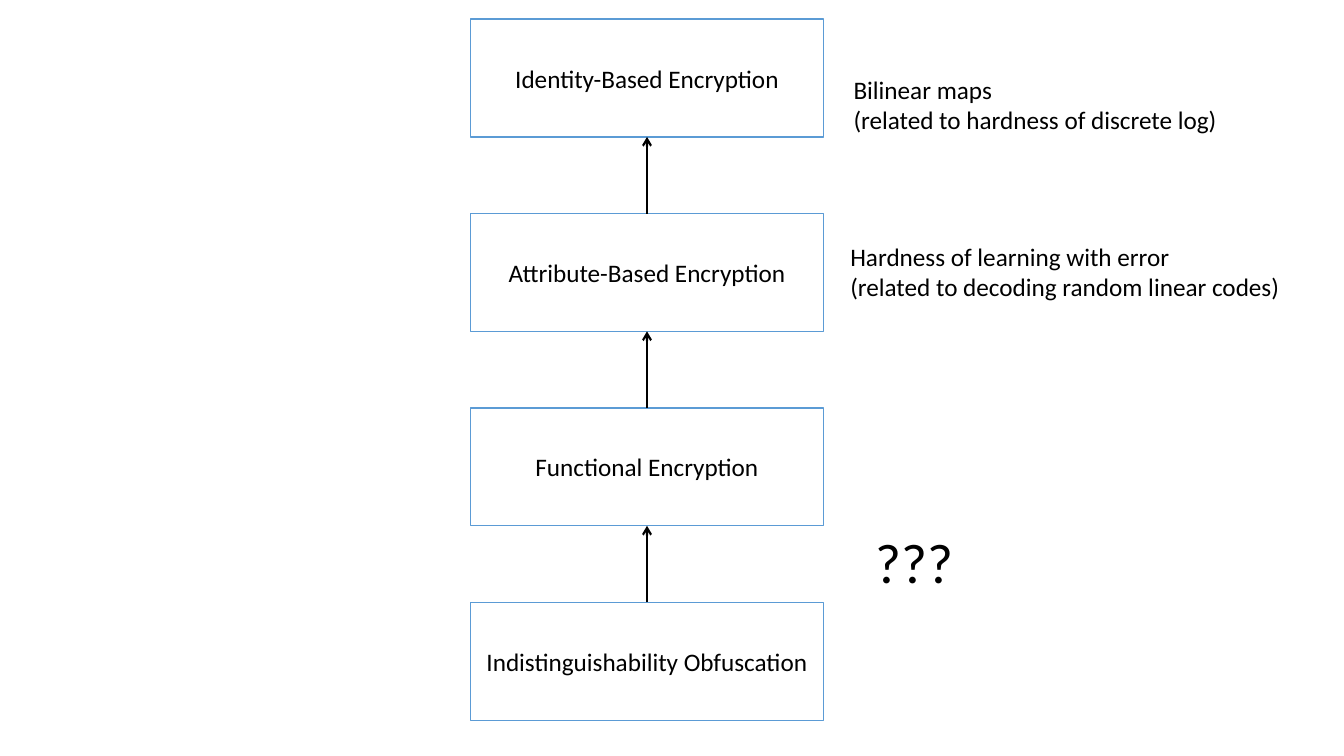
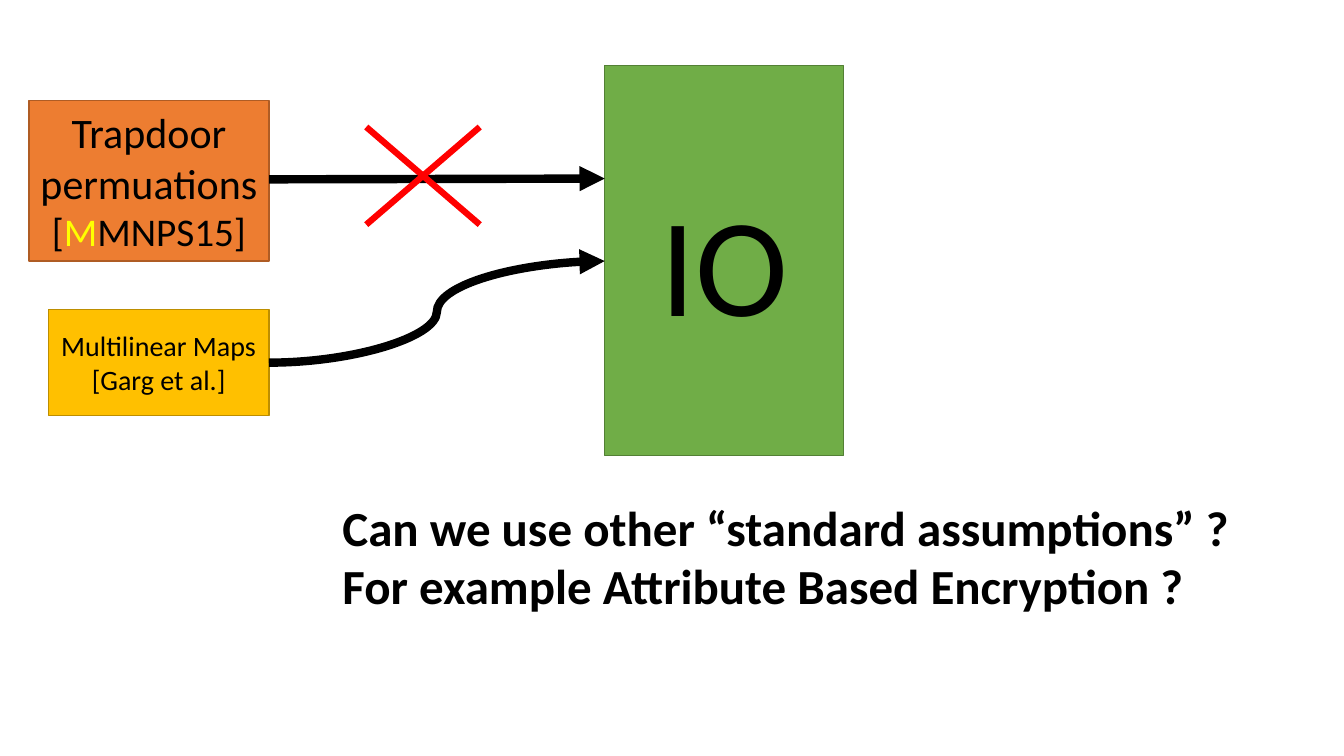
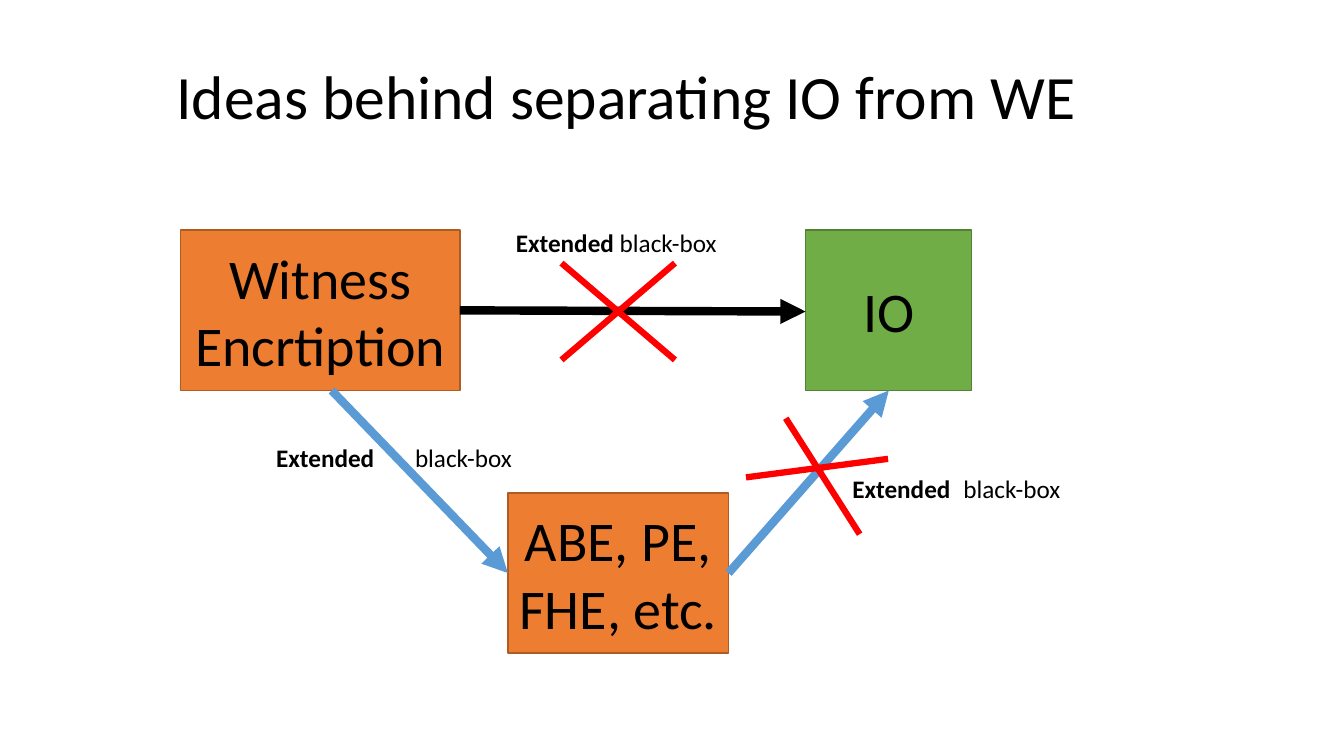
from lxml.etree import SubElement
from pptx import Presentation
from pptx.dml.color import RGBColor
from pptx.enum.shapes import MSO_CONNECTOR as Conn, MSO_SHAPE as Shape
from pptx.enum.text import MSO_ANCHOR as Anchor, PP_ALIGN as Align
from pptx.oxml.ns import qn
from pptx.util import Cm, Pt

FONT = "Calibri"
BLACK, WHITE, RED, YELLOW = "000000", "FFFFFF", "FF0000", "FFFF00"
BLUE = "5B9BD5"
OUTLINED = (WHITE, BLUE)
GREEN = ("70AD47", "538035")
ORANGE = ("ED7D31", "AF5C24")
GOLD = ("FFC000", "BD8E00")
TOP, BOTTOM = 0, 2
CROSS = ((1, 0, 0, 1), (0, 0, 1, 1))
TILTED = ((1, 0.35, 0, 0.51), (0.28, 0, 0.8, 1))


def rgb(color):
    return RGBColor.from_string(color)


def add_run(p, text, size, color=BLACK, bold=False):
    r = p.add_run()
    r.text = text
    r.font.name = FONT
    r.font.size = Pt(size)
    r.font.bold = bold
    r.font.color.rgb = rgb(color)


def write(tf, paras, align):
    for i, runs in enumerate(paras):
        p = tf.paragraphs[0] if i == 0 else tf.add_paragraph()
        p.alignment = align
        for run in runs:
            add_run(p, *run)


def add_box(s, x, y, w, h, colors, *paras):
    fill, line = colors
    sp = s.shapes.add_shape(Shape.RECTANGLE, Cm(x), Cm(y), Cm(w), Cm(h))
    sp.shadow.inherit = False
    sp.fill.solid()
    sp.fill.fore_color.rgb = rgb(fill)
    sp.line.color.rgb = rgb(line)
    sp.line.width = Pt(1)
    tf = sp.text_frame
    tf.word_wrap = True
    tf.vertical_anchor = Anchor.MIDDLE
    write(tf, paras, Align.CENTER)
    return sp


def add_text(s, x, y, w, h, *paras):
    tf = s.shapes.add_textbox(Cm(x), Cm(y), Cm(w), Cm(h)).text_frame
    tf.word_wrap = True
    write(tf, paras, Align.LEFT)
    return tf


def add_line(s, x1, y1, x2, y2, color, width, head=None, kind=Conn.STRAIGHT):
    cx = s.shapes.add_connector(kind, Cm(x1), Cm(y1), Cm(x2), Cm(y2))
    cx.line.color.rgb = rgb(color)
    cx.line.width = Pt(width)
    if head:
        SubElement(cx.line._get_or_add_ln(), qn("a:tailEnd"), type=head)
    SubElement(cx._element.spPr, qn("a:effectLst"))
    return cx


def add_cross(s, x, y, w, h, strokes=CROSS):
    for x1, y1, x2, y2 in strokes:
        add_line(s, x + x1 * w, y + y1 * h, x + x2 * w, y + y2 * h, RED, 4.5)


def add_black_box_label(s, x, y, w, tab=None):
    gap = "\t" if tab else " "
    runs = [("Extended", 18, BLACK, True), (gap + "black-box", 18)]
    tf = add_text(s, x, y, w, 1.02, runs)
    if tab:
        tabs = SubElement(tf.paragraphs[0]._p.get_or_add_pPr(), qn("a:tabLst"))
        SubElement(tabs, qn("a:tab"), pos=str(Cm(tab)), algn="l")


def add_ladder(s, x, y, w, h, names, step):
    upper = None
    for i, name in enumerate(names):
        sp = add_box(s, x, y + i * step, w, h, OUTLINED, [(name, 18)])
        if upper:
            cx = add_line(s, x, y, x, y, BLACK, 1.5, "arrow")
            cx.begin_connect(sp, TOP)
            cx.end_connect(upper, BOTTOM)
        upper = sp


def hierarchy_slide(prs):
    s = prs.slides.add_slide(prs.slide_layouts[6])
    names = ("Identity-Based Encryption", "Attribute-Based Encryption",
             "Functional Encryption", "Indistinguishability Obfuscation")
    add_ladder(s, 11.86, 0.48, 8.89, 2.97, names, 4.9)
    add_text(s, 21.18, 5.96, 12, 1.8,
             [("Hardness of learning with error", 18)],
             [("(related to decoding random linear codes)", 18)])
    add_text(s, 21.81, 13.17, 3, 1.96, [("???", 40)])
    add_text(s, 21.26, 1.74, 10.5, 1.8,
             [("Bilinear maps", 18)],
             [("(related to hardness of discrete log)", 18)])


def assumptions_slide(prs):
    s = prs.slides.add_slide(prs.slide_layouts[6])
    add_box(s, 15.24, 1.65, 6.02, 9.83, GREEN, [("IO", 100)])
    add_box(s, 1.22, 7.8, 5.56, 2.67, GOLD,
            [("Multilinear Maps [Garg et al.]", 20)])
    add_line(s, 6.78, 9.14, 15.24, 6.58, BLACK, 6, "triangle", Conn.CURVE)
    add_box(s, 0.73, 2.54, 6.05, 4.04, ORANGE,
            [("Trapdoor permuations", 30)],
            [("[", 28), ("M", 28, YELLOW), ("MNPS15]", 28)])
    add_line(s, 6.78, 4.52, 15.24, 4.5, BLACK, 6, "triangle")
    add_text(s, 8.38, 12.4, 25, 3.25,
             [("Can we use other “standard assumptions” ?", 35, BLACK, True)],
             [("For example Attribute Based Encryption ?", 35, BLACK, True)])
    add_cross(s, 9.23, 3.2, 2.86, 2.46)


def add_title(s, x, y, w, h, text):
    sp = s.shapes.title
    sp.left, sp.top, sp.width, sp.height = Cm(x), Cm(y), Cm(w), Cm(h)
    tf = sp.text_frame
    tf.vertical_anchor = Anchor.MIDDLE
    write(tf, [[(text, 44)]], Align.LEFT)
    tf.paragraphs[0].line_spacing = 0.9


def separation_slide(prs):
    s = prs.slides.add_slide(prs.slide_layouts[5])
    add_title(s, 4.19, 0.66, 29.2, 3.68, "Ideas behind separating IO from WE")
    add_box(s, 20.3, 5.8, 4.19, 4.04, GREEN, [("IO", 40)])
    add_box(s, 4.55, 5.8, 7.04, 4.04, ORANGE, [("Witness Encrtiption", 40)])
    add_line(s, 11.59, 7.82, 20.3, 7.85, BLACK, 6, "triangle")
    add_cross(s, 14.15, 6.63, 2.86, 2.44)
    add_black_box_label(s, 12.75, 5.61, 6)
    add_box(s, 12.8, 12.42, 5.56, 4.04, ORANGE, [("ABE, PE, FHE, etc.", 40)])
    add_line(s, 8.36, 9.84, 12.8, 14.44, BLUE, 6, "triangle")
    add_black_box_label(s, 6.71, 11.02, 7, 3.5)
    add_line(s, 18.36, 14.44, 22.4, 9.84, BLUE, 6, "triangle")
    add_cross(s, 18.8, 10.54, 3.58, 2.92, TILTED)
    add_black_box_label(s, 21.23, 11.79, 6.3, 2.8)


def main():
    prs = Presentation()
    prs.slide_width, prs.slide_height = Cm(33.87), Cm(19.05)
    hierarchy_slide(prs)
    assumptions_slide(prs)
    separation_slide(prs)
    prs.save("out.pptx")


if __name__ == "__main__":
    main()
